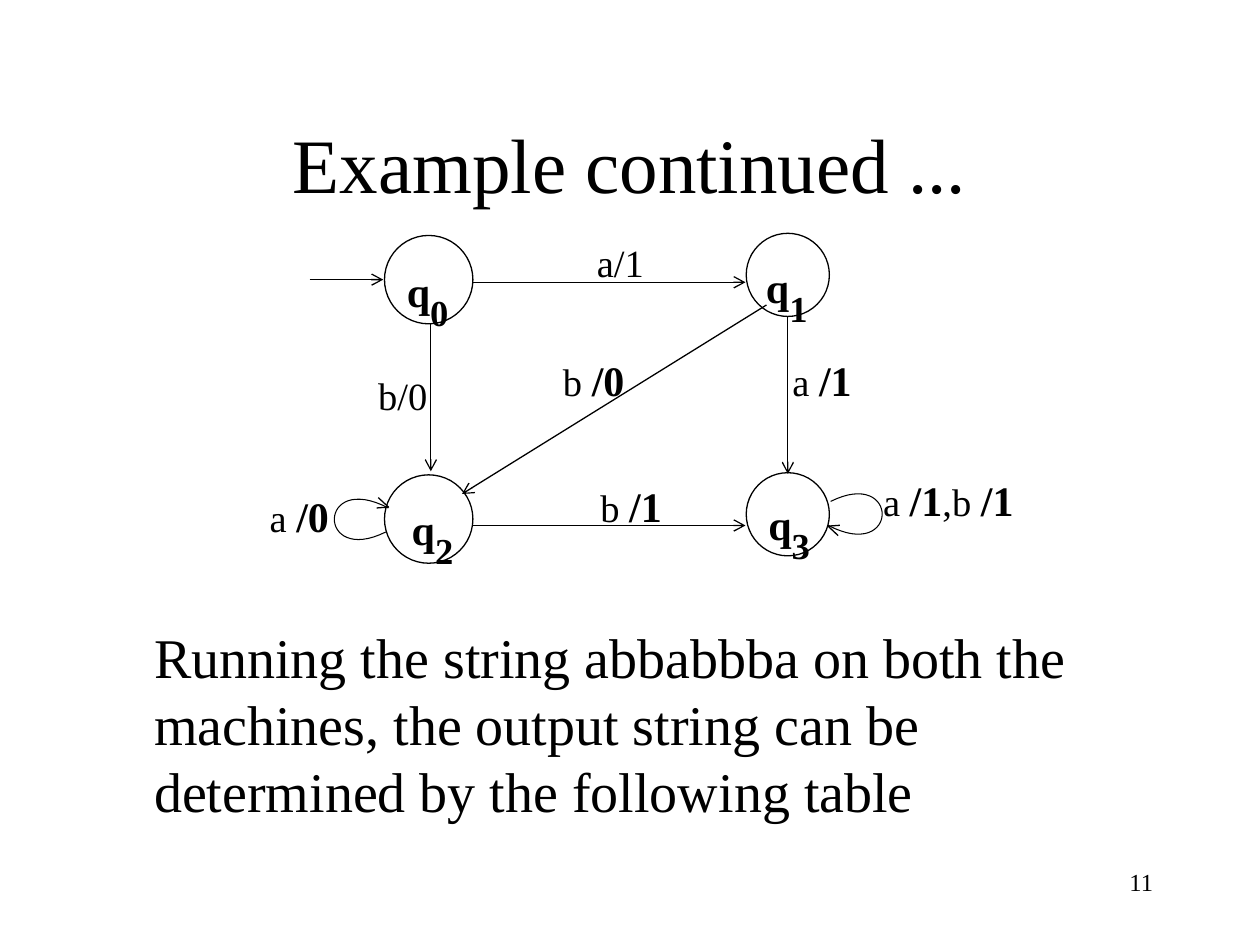
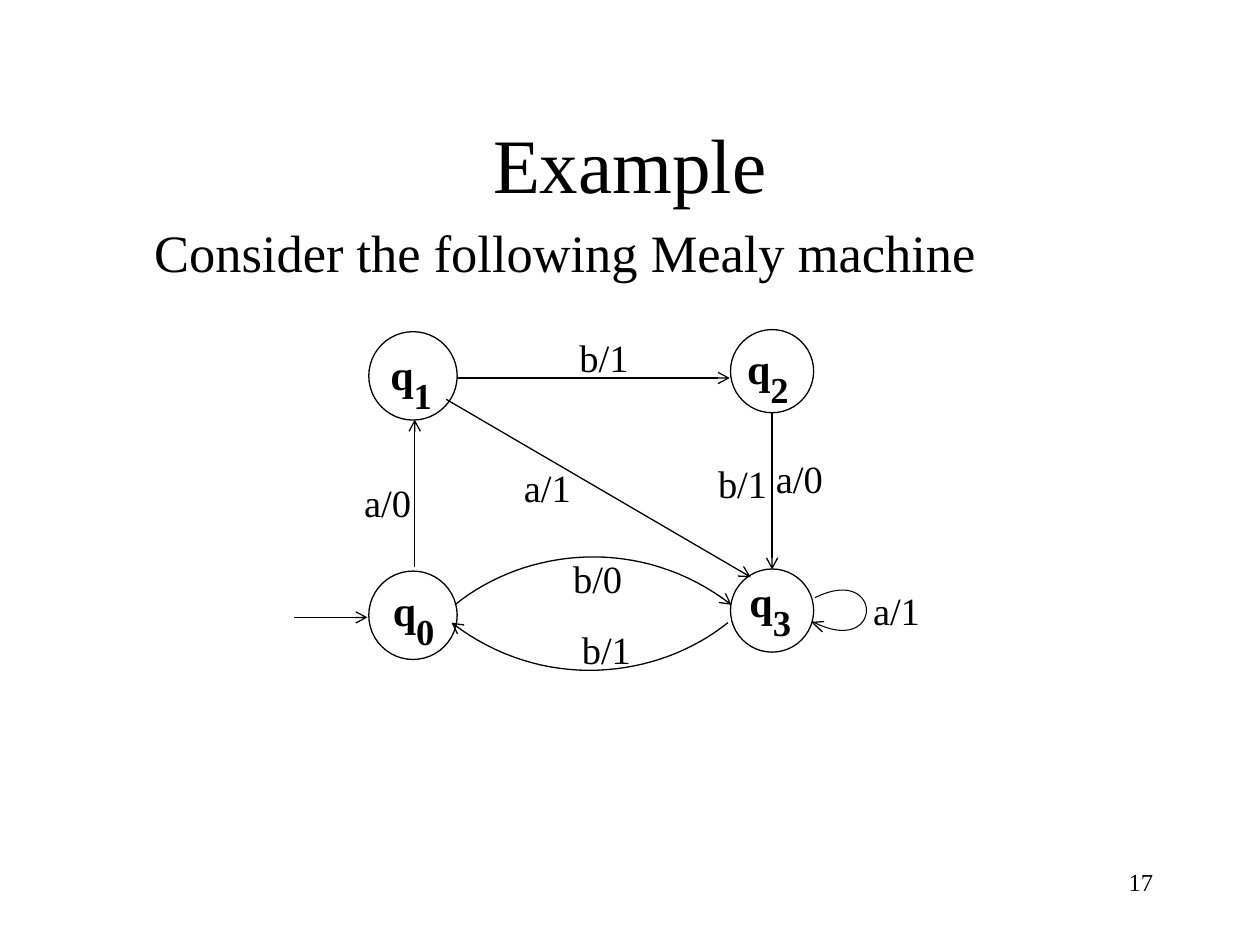
from dataclasses import dataclass

from lxml.etree import SubElement
from pptx import Presentation
from pptx.dml.color import RGBColor
from pptx.enum.shapes import MSO_CONNECTOR, MSO_SHAPE
from pptx.enum.text import MSO_ANCHOR, PP_ALIGN
from pptx.oxml.ns import qn
from pptx.util import Pt


@dataclass(frozen=True)
class Theme:
    ink: RGBColor = RGBColor(0, 0, 0)
    paper: RGBColor = RGBColor(255, 255, 255)
    font: str = "Times New Roman"
    title: float = 44
    body_leading: float = 38.3
    label: float = 22
    strong: float = 24
    subscript: float = 36
    page_number: float = 14
    line: float = 0.75
    loop_line: float = 0.6


THEME = Theme()

# State grid, measured from the centre of the top left state
COLUMN_GAP, ROW_GAP = 205.2, 136.8
RIGHT_COLUMN_RISE = 2.7
DIAMETERS = (50.5, 47.5)

# Self-loop on the right of a state; the left one is its half turn
LOOP_CURVE = ((24.5, -7.4), (64, -27), (64, 27.7), (23, 6.3))
LOOP_HEAD = ((28.8, 12.2), (23, 6.8), (29.8, 6.3))


# Text
def style_font(font, size, bold=False):
    font.name = THEME.font
    font.size = Pt(size)
    font.bold = bold
    font.color.rgb = THEME.ink


def add_text(slide, left, top, width, height):
    """Add an empty text box and return its first paragraph."""
    frame = slide.shapes.add_textbox(Pt(left), Pt(top), Pt(width), Pt(height)).text_frame
    frame.word_wrap = True
    return frame.paragraphs[0]


def add_title_slide(presentation, title, page_number):
    slide = presentation.slides.add_slide(presentation.slide_layouts[5])
    placeholder = slide.shapes.title
    placeholder.left, placeholder.top = Pt(54), Pt(48)
    placeholder.width, placeholder.height = Pt(612), Pt(90)
    placeholder.text_frame.text = title
    placeholder.text_frame.vertical_anchor = MSO_ANCHOR.MIDDLE
    paragraph = placeholder.text_frame.paragraphs[0]
    paragraph.alignment = PP_ALIGN.CENTER
    style_font(paragraph.font, THEME.title)

    paragraph = add_text(slide, 516, 492, 150, 36)
    paragraph.text = str(page_number)
    paragraph.alignment = PP_ALIGN.RIGHT
    style_font(paragraph.font, THEME.page_number)
    return slide


def add_body(slide, text, top, height, size):
    paragraph = add_text(slide, 81, top, 585, height)
    paragraph.text = text
    paragraph.line_spacing = Pt(THEME.body_leading)
    style_font(paragraph.font, size)


# Lines and curves
def style_line(shape, width=THEME.line, arrow=False):
    shape.line.color.rgb = THEME.ink
    shape.line.width = Pt(width)
    if arrow:
        outline = shape._element.spPr.find(qn("a:ln"))
        SubElement(outline, qn("a:tailEnd"), type="arrow")


def add_polyline(slide, points, width=THEME.line, arrow=False):
    vertices = [(Pt(x), Pt(y)) for x, y in points]
    builder = slide.shapes.build_freeform(*vertices[0])
    builder.add_line_segments(vertices[1:], close=False)
    shape = builder.convert_to_shape()
    shape.fill.background()
    shape.shadow.inherit = False
    style_line(shape, width, arrow)


def bezier_points(controls, steps=32):
    points = []
    for step in range(steps + 1):
        t = step / steps
        weights = ((1 - t) ** 3, 3 * t * (1 - t) ** 2, 3 * t * t * (1 - t), t ** 3)
        points.append(tuple(sum(w * c for w, c in zip(weights, axis))
                            for axis in zip(*controls)))
    return points


@dataclass
class StateDiagram:
    """A state machine whose top left state is centred on (x, y)."""
    slide: object
    x: float
    y: float

    def place(self, points):
        return [(self.x + x, self.y + y) for x, y in points]

    def centre(self, column, row):
        return column * COLUMN_GAP, row * ROW_GAP - column * RIGHT_COLUMN_RISE

    def add_state(self, number, column, row, label_offset):
        centre_x, centre_y = self.place([self.centre(column, row)])[0]
        diameter = DIAMETERS[column]
        circle = self.slide.shapes.add_shape(
            MSO_SHAPE.OVAL, Pt(centre_x - diameter / 2), Pt(centre_y - diameter / 2),
            Pt(diameter), Pt(diameter))
        circle.shadow.inherit = False
        circle.fill.solid()
        circle.fill.fore_color.rgb = THEME.paper
        style_line(circle)

        shift_x, shift_y = label_offset
        paragraph = add_text(self.slide, centre_x + shift_x, centre_y + shift_y, 69, 33)
        for text, size in (("q", THEME.strong), (str(number), THEME.subscript)):
            run = paragraph.add_run()
            run.text = text
            style_font(run.font, size, bold=True)
        run.font._element.set("baseline", "-30000")

    def add_arrow(self, start, end):
        (x1, y1), (x2, y2) = self.place([start, end])
        arrow = self.slide.shapes.add_connector(
            MSO_CONNECTOR.STRAIGHT, Pt(x1), Pt(y1), Pt(x2), Pt(y2))
        style_line(arrow, arrow=True)
        SubElement(arrow._element.spPr, qn("a:effectLst"))

    def add_curved_arrow(self, controls):
        add_polyline(self.slide, self.place(bezier_points(controls)), arrow=True)

    def add_loop(self, column, row):
        centre_x, centre_y = self.centre(column, row)
        side = 1 if column else -1
        parts = ((bezier_points(LOOP_CURVE), THEME.loop_line), (LOOP_HEAD, THEME.line))
        for points, width in parts:
            turned = [(centre_x + side * x, centre_y + side * y) for x, y in points]
            add_polyline(self.slide, self.place(turned), width)

    def add_label(self, left, top, *parts, width=73):
        """Add a transition label; parts that begin with a slash are strong."""
        left, top = self.place([(left, top)])[0]
        paragraph = add_text(self.slide, left, top, width, 30)
        for text in parts:
            strong = text.startswith("/")
            run = paragraph.add_run()
            run.text = text
            style_font(run.font, THEME.strong if strong else THEME.label, strong)


def build_continued_example(presentation):
    slide = add_title_slide(presentation, "Example continued ...", 11)
    diagram = StateDiagram(slide, 245, 159.8)

    # States
    for number, column, row, offset in (
            (0, 0, 0, (-19.6, -23.7)), (1, 1, 0, (-19.6, -23.2)),
            (2, 0, 1, (-16.8, -24.4)), (3, 1, 1, (-18.2, -24.6))):
        diagram.add_state(number, column, row, offset)

    # Transitions
    for start, end in (
            ((-68, 0), (-26, 0)),
            ((25, 1.5), (181, 1.5)),
            ((25, 140.5), (181, 140.5)),
            ((1.2, 25), (1.2, 109.5)),
            ((205.2, 21), (205.2, 111)),
            ((193, 14.5), (19, 122.5))):
        diagram.add_arrow(start, end)
    diagram.add_loop(0, 1)
    diagram.add_loop(1, 1)

    # Transition labels
    diagram.add_label(-36, 49, "b/0")
    diagram.add_label(89, -26.6, "a/1")
    diagram.add_label(200.7, 39, "a ", "/1")
    diagram.add_label(91, 111, "b ", "/1")
    diagram.add_label(-98, 116.7, "a ", "/0")
    diagram.add_label(69.6, 39, "b ", "/0")
    diagram.add_label(252.5, 108, "a ", "/1", ",b ", "/1", width=101)

    add_body(slide, "Running the string abbabbba on both the machines, the output "
                    "string can be determined by the following table", 352, 122, 32)


def build_mealy_example(presentation):
    slide = add_title_slide(presentation, "Example", 17)
    add_body(slide, "Consider the following Mealy machine", 120, 46, 30)
    diagram = StateDiagram(slide, 236, 214.8)

    # States
    for number, column, row, offset in (
            (1, 0, 0, (-20, -31.2)), (2, 1, 0, (-21.4, -32)),
            (0, 0, 1, (-18.6, -33.3)), (3, 1, 1, (-20, -35.6))):
        diagram.add_state(number, column, row, offset)

    # Transitions
    for start, end in (
            ((-68, 138), (-26, 138)),
            ((25, 1.2), (181, 1.2)),
            ((1, 109), (1, 25)),
            ((205.2, 20.6), (205.2, 110.6)),
            ((19, 13.4), (193, 115))):
        diagram.add_arrow(start, end)
    diagram.add_curved_arrow(((24, 130.8), (64, 98.4), (130, 90.5), (182, 130.8)))
    diagram.add_curved_arrow(((180, 141), (140, 173.3), (74, 181.2), (22, 141)))
    diagram.add_loop(1, 1)

    # Transition labels
    for left, top, text in (
            (88, -27.6, "b/1"), (-35, 55.2, "a/0"), (56.3, 46.6, "a/1"),
            (167.2, 44.4, "b/1"), (200.3, 41.5, "a/0"), (84.4, 99, "b/0"),
            (89.4, 139.4, "b/1"), (255.8, 117, "a/1")):
        diagram.add_label(left, top, text)


def main():
    presentation = Presentation()
    presentation.slide_width, presentation.slide_height = Pt(720), Pt(540)
    build_continued_example(presentation)
    build_mealy_example(presentation)
    presentation.save("out.pptx")


if __name__ == "__main__":
    main()
